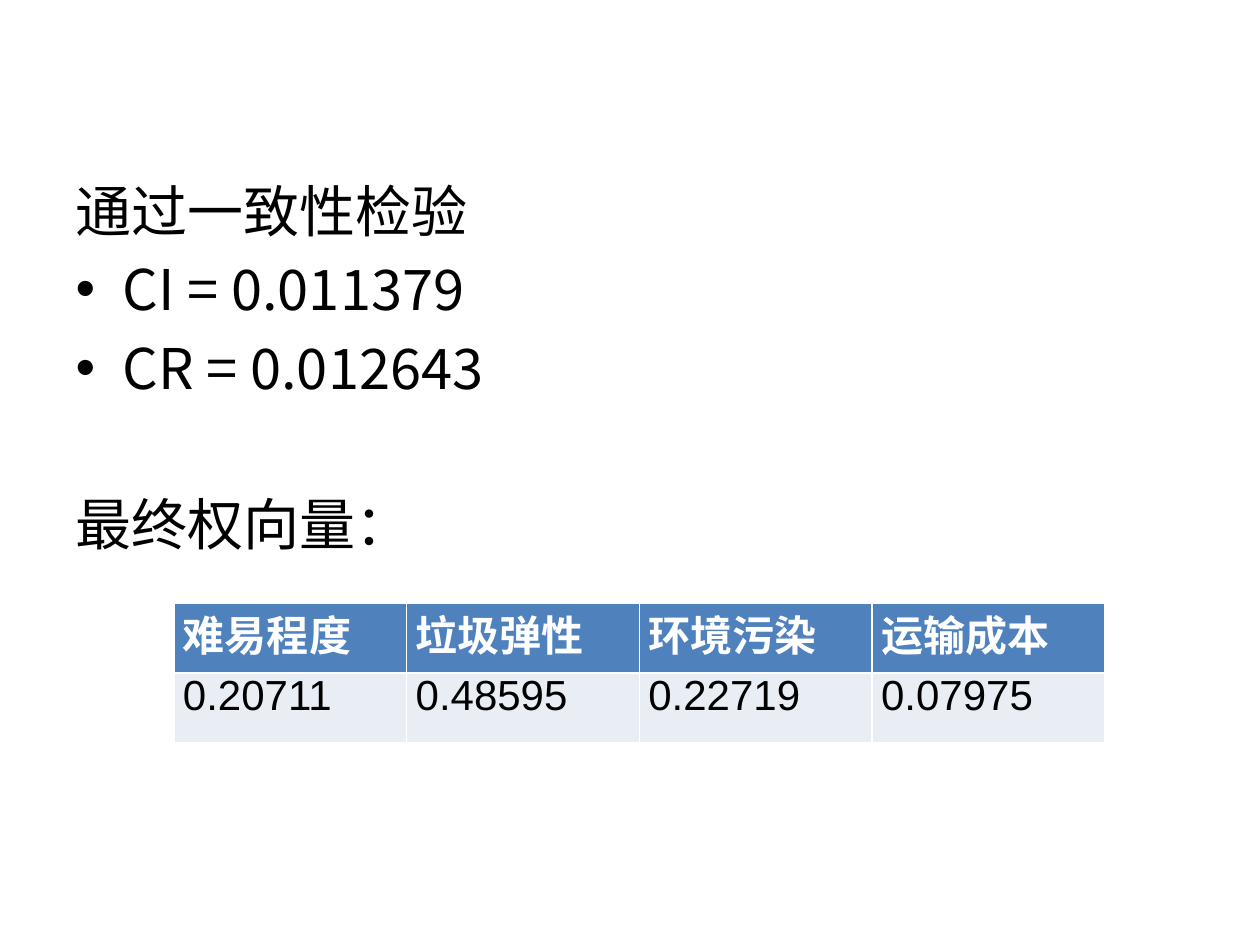
from dataclasses import dataclass

from lxml import etree
from pptx import Presentation
from pptx.dml.color import RGBColor
from pptx.oxml.ns import qn
from pptx.util import Emu, Pt

SCALE = 914400 // 126


@dataclass(frozen=True)
class Theme:
    ink: RGBColor = RGBColor(0, 0, 0)
    white: RGBColor = RGBColor(255, 255, 255)
    head: RGBColor = RGBColor(0x4F, 0x81, 0xBD)
    band: RGBColor = RGBColor(0xE9, 0xED, 0xF4)
    text: str = "Noto Sans CJK SC"
    grid: str = "Arial"
    body: int = 32
    cell: int = 24


@dataclass(frozen=True)
class Line:
    text: str
    bullet: bool = False
    gap: float = 0


@dataclass(frozen=True)
class Weight:
    name: str
    value: str


THEME = Theme()
LINES = [
    Line("通过一致性检验"),
    Line("CI = 0.011379", bullet=True),
    Line("CR = 0.012643", bullet=True),
    Line("最终权向量：", gap=51),
]
WEIGHTS = [
    Weight("难易程度", "0.20711"),
    Weight("垃圾弹性", "0.48595"),
    Weight("环境污染", "0.22719"),
    Weight("运输成本", "0.07975"),
]


def px(n: int) -> Emu:
    return Emu(n * SCALE)


def add_line(para, line: Line) -> None:
    para.text = line.text
    font = para.font
    font.size, font.name = Pt(THEME.body), THEME.text
    font.color.rgb = THEME.ink
    # East Asian face for the Chinese text
    props = para.runs[0].font
    props.name = THEME.text
    face = etree.SubElement(para.runs[0]._r.get_or_add_rPr(), qn("a:ea"))
    face.set("typeface", THEME.text)
    if line.gap:
        para.space_before = Pt(line.gap)
    if not line.bullet:
        mark = etree.Element(qn("a:buNone"))
        para._p.get_or_add_pPr().find(qn("a:defRPr")).addprevious(mark)


def fill_cell(cell, text: str, fill: RGBColor, ink: RGBColor, bold: bool) -> None:
    cell.fill.solid()
    cell.fill.fore_color.rgb = fill
    cell.margin_left = cell.margin_right = px(9)
    cell.margin_top = cell.margin_bottom = 0
    cell.text = text
    font = cell.text_frame.paragraphs[0].runs[0].font
    font.name, font.size, font.bold = THEME.grid, Pt(THEME.cell), bold
    font.color.rgb = ink


deck = Presentation()
deck.slide_width, deck.slide_height = px(1260), px(945)
slide = deck.slides.add_slide(deck.slide_layouts[1])

# Body list; the slide has no title
title, body = slide.placeholders
title.element.getparent().remove(title.element)
body.left, body.top, body.width, body.height = px(63), px(170), px(1134), px(674)
frame = body.text_frame
for i, line in enumerate(LINES):
    add_line(frame.add_paragraph() if i else frame.paragraphs[0], line)

# Weight table
table = slide.shapes.add_table(
    2, len(WEIGHTS), px(174), px(603), px(931), px(140)
).table
for col, item in enumerate(WEIGHTS):
    fill_cell(table.cell(0, col), item.name, THEME.head, THEME.white, True)
    fill_cell(table.cell(1, col), item.value, THEME.band, THEME.ink, False)

deck.save("out.pptx")
